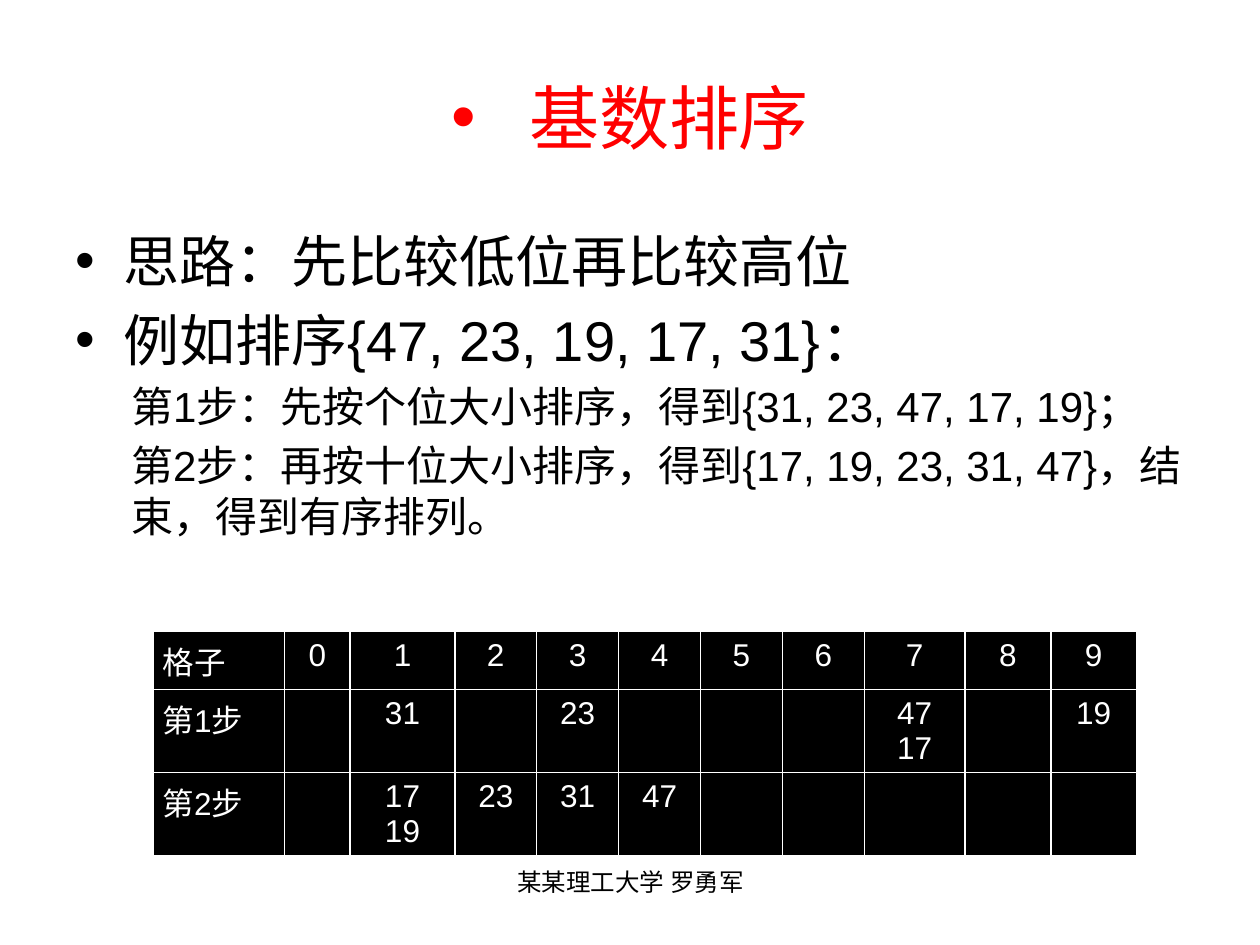
from lxml.etree import SubElement
from pptx import Presentation
from pptx.dml.color import RGBColor
from pptx.enum.text import MSO_ANCHOR, MSO_AUTO_SIZE, PP_ALIGN
from pptx.oxml.ns import qn
from pptx.util import Inches, Pt

BLACK = RGBColor(0x00, 0x00, 0x00)
WHITE = RGBColor(0xFF, 0xFF, 0xFF)
RED = RGBColor(0xFF, 0x00, 0x00)

WIDTH, HEIGHT = Inches(10), Inches(7.5)
MARGIN = 0.05
COLUMN_WIDTHS = [1.04, 0.52, 0.83] + [0.65] * 5 + [0.8, 0.68, 0.68]
ROW_HEIGHTS = [0.46, 0.66, 0.66]

IDEAS = ["思路：先比较低位再比较高位", "例如排序{47, 23, 19, 17, 31}："]
STEPS = [
    "第1步：先按个位大小排序，得到{31, 23, 47, 17, 19}；",
    "第2步：再按十位大小排序，得到{17, 19, 23, 31, 47}，结束，得到有序排列。",
]
BUCKET_ROWS = [
    ("格子", {digit: [str(digit)] for digit in range(10)}),
    ("第1步", {1: ["31"], 3: ["23"], 7: ["47", "17"], 9: ["19"]}),
    ("第2步", {1: ["17", "19"], 2: ["23"], 3: ["31"], 4: ["47"]}),
]


def set_values(target, values):
    for name, value in values.items():
        setattr(target, name, value)


def place(shape, left, top, width, height):
    set_values(shape, {
        "left": int(WIDTH * left), "top": int(HEIGHT * top),
        "width": int(WIDTH * width), "height": int(HEIGHT * height),
    })


def write_paragraph(para, text, size, color, alignment=None):
    para.alignment = alignment
    span = para.add_run()
    span.text = text
    set_values(span.font, {"name": "Arial", "size": Pt(size)})
    span.font.color.rgb = color


def set_bullet(para, left, hanging, character=None):
    properties = para._p.get_or_add_pPr()
    properties.set("marL", str(Inches(left)))
    properties.set("indent", str(-Inches(hanging)))
    if character:
        SubElement(properties, qn("a:buFont"), typeface="Arial")
        SubElement(properties, qn("a:buChar"), char=character)
    else:
        SubElement(properties, qn("a:buNone"))


def add_title(page):
    title = page.shapes.title
    place(title, MARGIN, 0.04, 0.9, 1 / 6)
    set_values(title.text_frame, {
        "vertical_anchor": MSO_ANCHOR.MIDDLE, "auto_size": MSO_AUTO_SIZE.NONE,
    })
    para = title.text_frame.paragraphs[0]
    write_paragraph(para, "基数排序", 40, RED, PP_ALIGN.CENTER)
    set_bullet(para, 0.62, 0.62, "•")


def add_explanation(page):
    body = page.placeholders[1]
    place(body, MARGIN, 7 / 30, 0.9, 0.66)
    frame = body.text_frame
    frame.auto_size = MSO_AUTO_SIZE.NONE
    lines = [(text, 0) for text in IDEAS] + [(text, 1) for text in STEPS]
    for index, (text, level) in enumerate(lines):
        para = frame.add_paragraph() if index else frame.paragraphs[0]
        para.level = level
        write_paragraph(para, text, 24 if level else 32, BLACK)
        if level:
            set_bullet(para, 0.44, 0)
        else:
            set_bullet(para, 0.38, 0.38, "•")


def add_borders(cell):
    properties = cell._tc.get_or_add_tcPr()
    for side in ("lnL", "lnR", "lnT", "lnB"):
        line = SubElement(properties, qn(f"a:{side}"), w=str(Pt(1)))
        fill = SubElement(line, qn("a:solidFill"))
        SubElement(fill, qn("a:srgbClr"), val=str(WHITE))


def fill_cell(cell, lines, alignment):
    set_values(cell, {
        "margin_left": Inches(0.07), "margin_right": Inches(0.07),
        "margin_top": Inches(0.05), "margin_bottom": Inches(0.05),
    })
    add_borders(cell)
    cell.fill.solid()
    cell.fill.fore_color.rgb = BLACK
    for index, text in enumerate(lines):
        frame = cell.text_frame
        para = frame.add_paragraph() if index else frame.paragraphs[0]
        write_paragraph(para, text, 18, WHITE, alignment)


def add_bucket_table(page):
    table = page.shapes.add_table(
        len(ROW_HEIGHTS), len(COLUMN_WIDTHS), Inches(1.22), Inches(5.01),
        Inches(sum(COLUMN_WIDTHS)), Inches(sum(ROW_HEIGHTS)),
    ).table
    for column, width in zip(table.columns, COLUMN_WIDTHS):
        column.width = Inches(width)
    for row, height, (label, buckets) in zip(table.rows, ROW_HEIGHTS, BUCKET_ROWS):
        row.height = Inches(height)
        label_cell, *bucket_cells = row.cells
        fill_cell(label_cell, [label], PP_ALIGN.JUSTIFY)
        for digit, cell in enumerate(bucket_cells):
            fill_cell(cell, buckets.get(digit, []), PP_ALIGN.CENTER)


def add_author(page):
    box = page.shapes.add_textbox(0, 0, 0, 0)
    place(box, 0.342, 0.911, 0.317, 0.07)
    box.text_frame.word_wrap = True
    write_paragraph(
        box.text_frame.paragraphs[0], "某某理工大学 罗勇军", 14, BLACK, PP_ALIGN.CENTER
    )


def main():
    deck = Presentation()
    set_values(deck, {"slide_width": WIDTH, "slide_height": HEIGHT})
    page = deck.slides.add_slide(deck.slide_layouts[1])
    add_title(page)
    add_explanation(page)
    add_bucket_table(page)
    add_author(page)
    deck.save("out.pptx")


if __name__ == "__main__":
    main()
